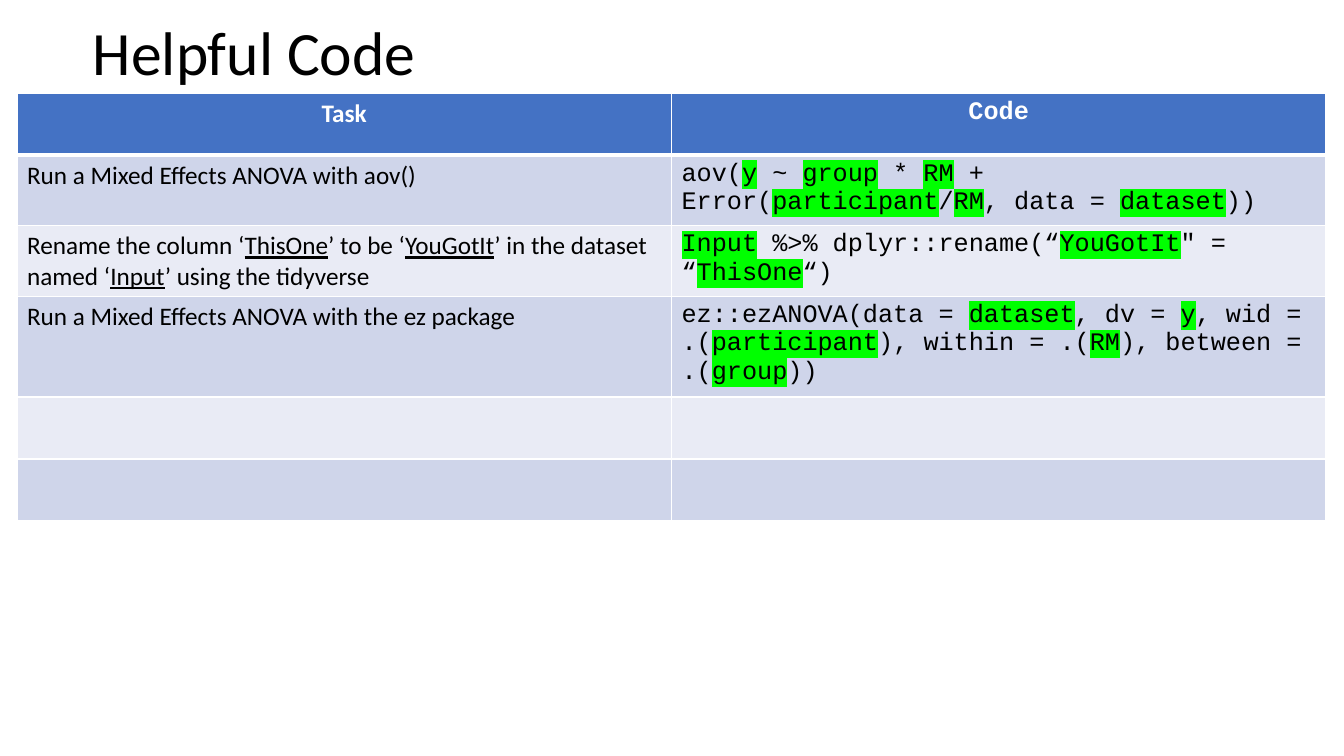
from lxml.etree import SubElement
from pptx import Presentation
from pptx.dml.color import RGBColor
from pptx.enum.text import MSO_ANCHOR as Anchor, PP_ALIGN as Align
from pptx.oxml import parse_xml
from pptx.oxml.ns import nsdecls, qn
from pptx.util import Pt

PX = 12192000 / 1344
THEME = {
    "ink": "000000", "white": "FFFFFF", "header": "4472C4",
    "bands": ["CFD5EA", "E9EBF5"], "highlight": "00FF00",
    "prose": "Calibri", "code": "Courier New",
    "title_size": 44, "table_size": 18,
}
ROWS = [
    ("Task", "Code"),
    ("Run a Mixed Effects ANOVA with aov()",
     "aov(|y| ~ |group| * |RM| + Error(|participant|/|RM|, data = |dataset|))"),
    ("Rename the column ‘|ThisOne|’ to be ‘|YouGotIt|’ in the dataset named ‘|Input|’ using the tidyverse",
     "|Input| %>% dplyr::rename(“|YouGotIt|\" = “|ThisOne|“)"),
    ("Run a Mixed Effects ANOVA with the ez package",
     "ez::ezANOVA(data = |dataset|, dv = |y|, wid = .(|participant|), within = .(|RM|), between = .(|group|))"),
    ("", ""),
    ("", ""),
]


def px(*lengths):
    return [round(length * PX) for length in lengths]


def add_run(paragraph, text, size, color, font):
    run = paragraph.add_run()
    run.text = text
    run.font.size = Pt(size)
    run.font.color.rgb = RGBColor.from_string(color)
    run.font.name = font
    return run


prs = Presentation()
prs.slide_width, prs.slide_height = px(1344, 756)
slide = prs.slides.add_slide(prs.slide_layouts[6])

heading = slide.shapes.add_textbox(*px(83, 0, 1159, 111)).text_frame
heading.word_wrap = True
heading.vertical_anchor = Anchor.MIDDLE
heading.paragraphs[0].line_spacing = 0.9
add_run(heading.paragraphs[0], "Helpful Code", THEME["title_size"], THEME["ink"], THEME["prose"])

code_table = slide.shapes.add_table(len(ROWS), 2, *px(17, 93, 1309, 372)).table
for row, texts in enumerate(ROWS):
    code_table.rows[row].height = px(62)[0]
    is_header = row == 0
    fill = THEME["header"] if is_header else THEME["bands"][(row - 1) % 2]
    for column, text in enumerate(texts):
        cell = code_table.cell(row, column)
        is_code = column == 1
        cell_props = cell._tc.get_or_add_tcPr()
        for side in "LRTB":
            thick = (side == "B" and row == 0) or (side == "T" and row == 1)
            cell_props.append(parse_xml(
                f'<a:ln{side} {nsdecls("a")} w="{Pt(3 if thick else 1)}"><a:solidFill>'
                f'<a:srgbClr val="{THEME["white"]}"/></a:solidFill></a:ln{side}>'))
        cell.fill.solid()
        cell.fill.fore_color.rgb = RGBColor.from_string(fill)

        paragraph = cell.text_frame.paragraphs[0]
        paragraph.alignment = Align.CENTER if is_header else Align.LEFT
        paragraph.font.size = Pt(THEME["table_size"])
        for part, wording in enumerate(text.split("|")):
            if not wording:
                continue
            run = add_run(paragraph, wording, THEME["table_size"],
                          THEME["white"] if is_header else THEME["ink"],
                          THEME["code"] if is_code else THEME["prose"])
            run.font.bold = is_header
            if part % 2 and is_code:
                run_props = run._r.get_or_add_rPr()
                highlight = SubElement(run_props, qn("a:highlight"))
                SubElement(highlight, qn("a:srgbClr")).set("val", THEME["highlight"])
                run_props.find(qn("a:solidFill")).addnext(highlight)
            elif part % 2:
                run.font.underline = True

prs.save("out.pptx")
